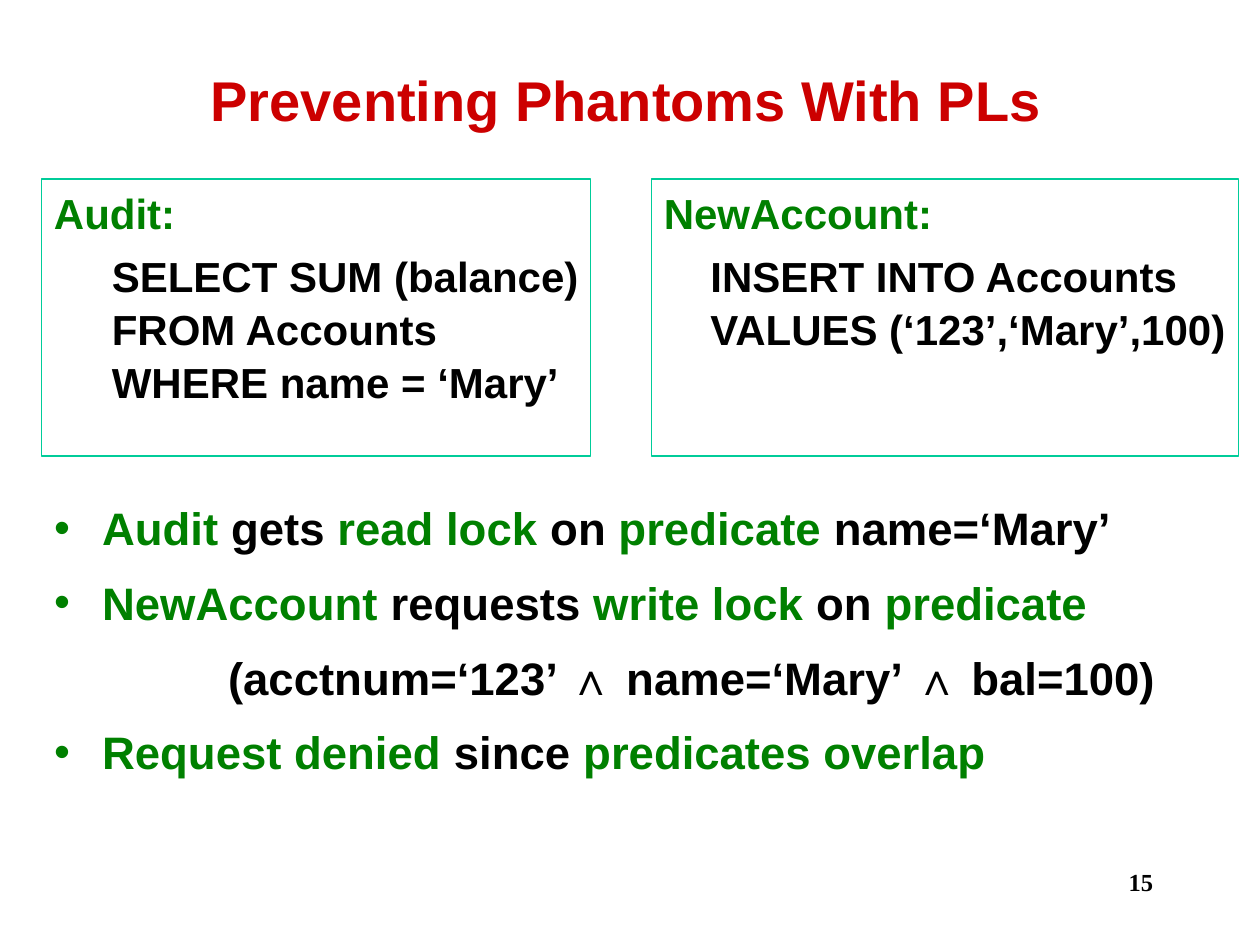
"""Builds the slide on preventing phantoms with predicate locks."""
from lxml.etree import SubElement
from pptx import Presentation
from pptx.dml.color import RGBColor
from pptx.enum.shapes import MSO_SHAPE
from pptx.enum.text import MSO_ANCHOR, MSO_AUTO_SIZE, PP_ALIGN
from pptx.oxml.ns import qn
from pptx.util import Inches, Pt

RED = RGBColor(0xCC, 0x00, 0x00)
GREEN = RGBColor(0x00, 0x80, 0x00)
BLACK = RGBColor(0x00, 0x00, 0x00)
TEAL = RGBColor(0x00, 0xCC, 0x99)

TITLE = "Preventing Phantoms With PLs"
PAGE = "15"
TRANSACTIONS = [
    {"name": "Audit:", "left": 0.33, "width": 4.36, "indent": 0.46,
     "sql": ["SELECT SUM (balance)", "FROM Accounts", "WHERE name = ‘Mary’"]},
    {"name": "NewAccount:", "left": 5.17, "width": 4.66, "indent": 0.37,
     "sql": ["INSERT INTO Accounts", "VALUES (‘123’,‘Mary’,100)"]},
]
POINTS = [
    (True, [("Audit ", GREEN), ("gets", BLACK), (" read lock ", GREEN), ("on", BLACK),
            (" predicate", GREEN), (" name=‘Mary’", BLACK)]),
    (True, [("NewAccount ", GREEN), ("requests", BLACK), (" write lock ", GREEN),
            ("on ", BLACK), ("predicate", GREEN)]),
    (False, [("(acctnum=‘123’ ∧ name=‘Mary’ ∧ bal=100)", BLACK)]),
    (True, [("Request denied", GREEN), (" since ", BLACK), ("predicates overlap", GREEN)]),
]


def set_font(paragraph, size, color=None, name="Arial"):
    font = paragraph.font
    font.name, font.size, font.bold = name, Pt(size), True
    if color is not None:
        font.color.rgb = color


def set_indent(paragraph, left, first=0, bullet=None):
    properties = paragraph._p.get_or_add_pPr()
    properties.set("marL", str(Inches(left)))
    properties.set("indent", str(Inches(first)))
    if bullet:
        mark = SubElement(properties, qn("a:buChar"))
        mark.set("char", bullet)
    else:
        SubElement(properties, qn("a:buNone"))


def place(shape, left, top, width, height):
    shape.left, shape.top = Inches(left), Inches(top)
    shape.width, shape.height = Inches(width), Inches(height)


def next_paragraph(frame, index):
    return frame.add_paragraph() if index else frame.paragraphs[0]


def add_title(slide):
    title = slide.shapes.title
    place(title, 0.18, 0.32, 9.58, 0.93)
    frame = title.text_frame
    frame.text = TITLE
    frame.auto_size = MSO_AUTO_SIZE.NONE
    frame.vertical_anchor = MSO_ANCHOR.MIDDLE
    frame.paragraphs[0].alignment = PP_ALIGN.CENTER
    set_font(frame.paragraphs[0], 32, RED)


def add_points(slide):
    body = slide.placeholders[1]
    place(body, 0.33, 3.92, 9.25, 3)
    frame = body.text_frame
    frame.auto_size = MSO_AUTO_SIZE.NONE
    for index, (bulleted, parts) in enumerate(POINTS):
        point = next_paragraph(frame, index)
        point.space_before = Pt(11.5 if index else 4)
        if bulleted:
            set_indent(point, 0.38, -0.38, "•")
        else:
            set_indent(point, 1.38)
        set_font(point, 26)
        for words, color in parts:
            run = point.add_run()
            run.text = words
            run.font.color.rgb = color


def add_transaction(slide, transaction):
    box = slide.shapes.add_shape(
        MSO_SHAPE.RECTANGLE, Inches(transaction["left"]), Inches(1.42),
        Inches(transaction["width"]), Inches(2.2))
    box.shadow.inherit = False
    box.fill.background()
    box.line.color.rgb = TEAL
    box.line.width = Pt(0.75)
    frame = box.text_frame
    frame.word_wrap = False
    frame.vertical_anchor = MSO_ANCHOR.TOP
    for index, words in enumerate([transaction["name"], *transaction["sql"]]):
        line = next_paragraph(frame, index)
        line.text = words
        line.alignment = PP_ALIGN.LEFT
        line.line_spacing = 1.05
        line.space_before = Pt(6 if index == 1 else 0)
        set_indent(line, transaction["indent"] if index else 0)
        set_font(line, 24, BLACK if index else GREEN)


def add_page_number(slide):
    page = slide.shapes.add_textbox(Inches(7.17), Inches(6.83), Inches(2.08), Inches(0.5))
    page.text_frame.word_wrap = True
    number = page.text_frame.paragraphs[0]
    number.text = PAGE
    number.alignment = PP_ALIGN.RIGHT
    set_font(number, 14, BLACK, "Times New Roman")


def main():
    deck = Presentation()
    deck.slide_width, deck.slide_height = Inches(10), Inches(7.5)
    slide = deck.slides.add_slide(deck.slide_layouts[1])
    add_title(slide)
    add_points(slide)
    for transaction in TRANSACTIONS:
        add_transaction(slide, transaction)
    add_page_number(slide)
    deck.save("out.pptx")


if __name__ == "__main__":
    main()
